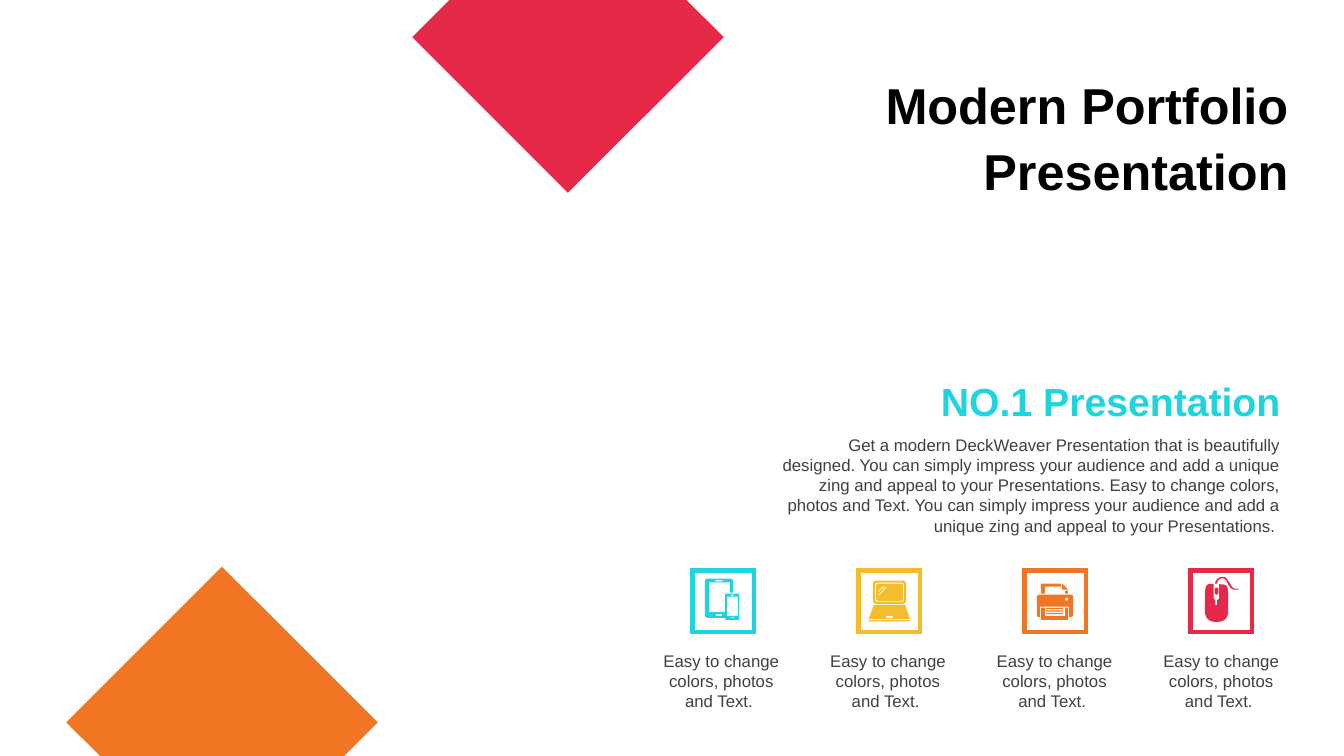
from math import dist

from lxml import etree
from pptx import Presentation
from pptx.dml.color import RGBColor
from pptx.enum.shapes import MSO_SHAPE
from pptx.enum.text import MSO_ANCHOR, MSO_AUTO_SIZE, PP_ALIGN
from pptx.oxml.ns import qn
from pptx.util import Pt

RECTANGLE = MSO_SHAPE.RECTANGLE
TOP, MIDDLE = MSO_ANCHOR.TOP, MSO_ANCHOR.MIDDLE
FIT_SHAPE, NO_FIT = MSO_AUTO_SIZE.SHAPE_TO_FIT_TEXT, MSO_AUTO_SIZE.NONE
RIGHT, CENTER = PP_ALIGN.RIGHT, PP_ALIGN.CENTER

THEME = {
    "font": "Arial",
    "title": 36, "heading": 28, "body": 12,
    "black": "000000", "grey": "404040",
    "cyan": "1ED4DE", "yellow": "F4BD2D", "orange": "F07624", "red": "E62949",
}

TITLE = "Modern Portfolio Presentation"
HEADING = "NO.1 Presentation"
BODY = (
    "Get a modern DeckWeaver Presentation that is beautifully designed. "
    "You can simply impress your audience and add a unique zing and appeal "
    "to your Presentations. Easy to change colors, photos and Text. "
    "You can simply impress your audience and add a unique zing and appeal "
    "to your Presentations. "
)
CAPTION = "Easy to change colors, photos and Text. "


def block(left, top, width, height, radius=0):
    """Corners of a rectangle, each as (x, y, corner radius)."""
    right, bottom = left + width, top + height
    return [(left, top, radius), (right, top, radius),
            (right, bottom, radius), (left, bottom, radius)]


# Icon outlines are measured from a point near the top left of their frame.
# An outline inside another one cuts a hole.
TABLET_AND_PHONE = [
    [(9.4, 5.8, 2.2), (29.5, 5.8, 2.2), (29.5, 15.8), (27.4, 15.8),
     (27.4, 8.6), (12.2, 8.6), (12.2, 29.5), (23.8, 29.5),
     (23.8, 33.8), (9.4, 33.8, 2.2)],
    block(16.6, 6.9, 5.7, 0.8, 0.4),
    block(17.3, 31, 4.3, 1.4, 0.7),
    block(23.8, 16.6, 10, 18.7, 1),
    block(25.2, 18.7, 7.9, 13.7),
    block(28.1, 17.3, 2.1, 0.7, 0.3),
    block(28.1, 33.1, 2.1, 0.7, 0.3),
]
LAPTOP = [
    block(10.8, 7.2, 23.8, 16.6, 2.9),
    block(12.2, 8.6, 20.9, 13.7, 2.2),
    block(13, 9.4, 19.4, 12.2, 1.8),
    [(20.2, 11.5), (20.9, 12), (15.1, 18), (14.4, 17.5)],
    [(18.4, 10.8), (18.9, 11.3), (14.9, 15.3), (14.4, 14.8)],
    [(11.5, 24.5), (33.8, 24.5), (37.4, 34.6), (7.9, 34.6)],
    block(20.2, 32.4, 5, 1.4, 0.7),
    block(7.9, 35.3, 29.5, 1),
]
PRINTER = [
    [(12.2, 9.4), (26.6, 9.4), (26.6, 11.5), (15.1, 11.5),
     (15.1, 16.6), (12.2, 16.6)],
    [(27.4, 9.4), (31.7, 13.7), (27.4, 13.7)],
    block(29.5, 14.4, 2.2, 2.2),
    [(9.4, 17.3, 2), (35.3, 17.3, 2), (35.3, 33.1, 2), (32.4, 33.1),
     (32.4, 25.9), (11.5, 25.9), (11.5, 33.1), (9.4, 33.1, 2)],
    block(29.5, 19.4, 2.2, 2.2, 1),
    [(12.2, 26.6), (15.1, 26.6), (15.1, 32.4), (29.5, 32.4),
     (29.5, 26.6), (31.7, 26.6), (31.7, 35.3), (12.2, 35.3)],
    *[block(15.8, 26.7 + 1.8 * row, 12.3, 1, 0.4) for row in range(3)],
]
MOUSE = [
    [(10.8, 9.8, 7), (17, 9.5), (17, 20.5, 1.4), (18.2, 20.9),
     (18.2, 24.8, 0.7), (19.6, 24.8, 0.7), (19.6, 20.9), (21, 20.5, 1.4),
     (21, 9.8), (27.4, 10.2, 6.5), (27.4, 36.7, 8), (10.8, 36.7, 8)],
    block(17.8, 12.2, 2.6, 5, 1.3),
    [(18, 9.4), (18.6, 7, 2), (20.9, 5, 2), (23.8, 4.3, 2), (25.9, 5, 2),
     (28.8, 9.4, 2), (31, 13, 2), (34.6, 13), (34.6, 13.7),
     (30.2, 13.7, 2), (27.4, 10.1, 2), (25.9, 6.5, 2), (23.8, 5.4, 2),
     (21.6, 5.8, 2), (19.6, 7.7, 2), (19.4, 9.4)],
]
FEATURES = [
    ("cyan", TABLET_AND_PHONE), ("yellow", LAPTOP),
    ("orange", PRINTER), ("red", MOUSE),
]
DIAMONDS = [
    ("red", [(321.1, 0), (490.3, 0), (517, 26.6), (405.6, 137.7), (294.5, 26.6)]),
    ("orange", [(158.5, 404.8), (269.8, 516), (245.8, 540), (71.5, 540), (47.3, 516)]),
]

FRAME_LEFT, FRAME_TOP, FRAME_SIZE, FRAME_STEP = 494.6, 407.5, 43.9, 118.6
ICON_SHIFT = -0.5
CAPTION_LEFT, CAPTION_STEP = 466, 119


def color(name):
    return RGBColor.from_string(THEME[name])


def rounded(outline, steps=6):
    """Turn corners with a radius into short curves."""
    points = []
    for index, (x, y, *radius) in enumerate(outline):
        if not radius or not radius[0]:
            points.append((x, y))
            continue
        ends = []
        for near in (outline[index - 1], outline[(index + 1) % len(outline)]):
            length = dist((x, y), near[:2])
            share = min(radius[0] / length, 0.5)
            ends.append((x + (near[0] - x) * share, y + (near[1] - y) * share))
        (x1, y1), (x2, y2) = ends
        for step in range(steps + 1):
            t = step / steps
            a, b, c = (1 - t) ** 2, 2 * t * (1 - t), t ** 2
            points.append((a * x1 + b * x + c * x2, a * y1 + b * y + c * y2))
    return points


def add_outlines(slide, outlines, fill, left=0, top=0):
    builder = None
    for outline in outlines:
        points = [(Pt(left + x), Pt(top + y)) for x, y in rounded(outline)]
        if builder is None:
            builder = slide.shapes.build_freeform(*points[0])
        else:
            builder.move_to(*points[0])
        builder.add_line_segments(points[1:], close=True)
    shape = builder.convert_to_shape()
    shape.shadow.inherit = False
    shape.fill.solid()
    shape.fill.fore_color.rgb = color(fill)
    shape.line.fill.background()


def add_frame(slide, left, line):
    """Add a hollow square with sharp, mitred corners."""
    frame = slide.shapes.add_shape(
        RECTANGLE, Pt(left), Pt(FRAME_TOP), Pt(FRAME_SIZE), Pt(FRAME_SIZE))
    frame.shadow.inherit = False
    frame.fill.background()
    frame.line.color.rgb = color(line)
    frame.line.width = Pt(3)
    outline = frame.element.spPr.find(qn("a:ln"))
    etree.SubElement(outline, qn("a:miter"), lim="800000")


def add_text(slide, text, area, size, ink, align, bold=False,
             anchor=TOP, fit=FIT_SHAPE, spacing=None):
    box = slide.shapes.add_textbox(*map(Pt, area))
    frame = box.text_frame
    frame.word_wrap = True
    frame.auto_size = fit
    frame.vertical_anchor = anchor
    para = frame.paragraphs[0]
    para.alignment = align
    para.line_spacing = spacing
    span = para.add_run()
    span.text = text
    span.font.name = THEME["font"]
    span.font.size = Pt(THEME[size])
    span.font.bold = bold
    span.font.color.rgb = color(ink)


def main():
    deck = Presentation()
    deck.slide_width, deck.slide_height = Pt(960), Pt(540)
    page = deck.slides.add_slide(deck.slide_layouts[6])

    for fill, diamond in DIAMONDS:
        add_outlines(page, [diamond], fill)
    add_text(page, HEADING, (585.4, 265.7, 336.2, 41), "heading", "cyan", RIGHT, bold=True)
    add_text(page, BODY, (549.4, 307, 372.2, 80), "body", "grey", RIGHT)
    for index, (ink, icon) in enumerate(FEATURES):
        left = FRAME_LEFT + index * FRAME_STEP
        add_frame(page, left, ink)
        add_outlines(page, icon, ink, left + ICON_SHIFT, FRAME_TOP)
        caption_area = (CAPTION_LEFT + index * CAPTION_STEP, 461, 98.6, 51)
        add_text(page, CAPTION, caption_area, "body", "grey", CENTER)
    add_text(page, TITLE, (591.4, 48.3, 336.2, 95), "title", "black", RIGHT,
             bold=True, anchor=MIDDLE, fit=NO_FIT, spacing=1.1)
    deck.save("out.pptx")


if __name__ == "__main__":
    main()
